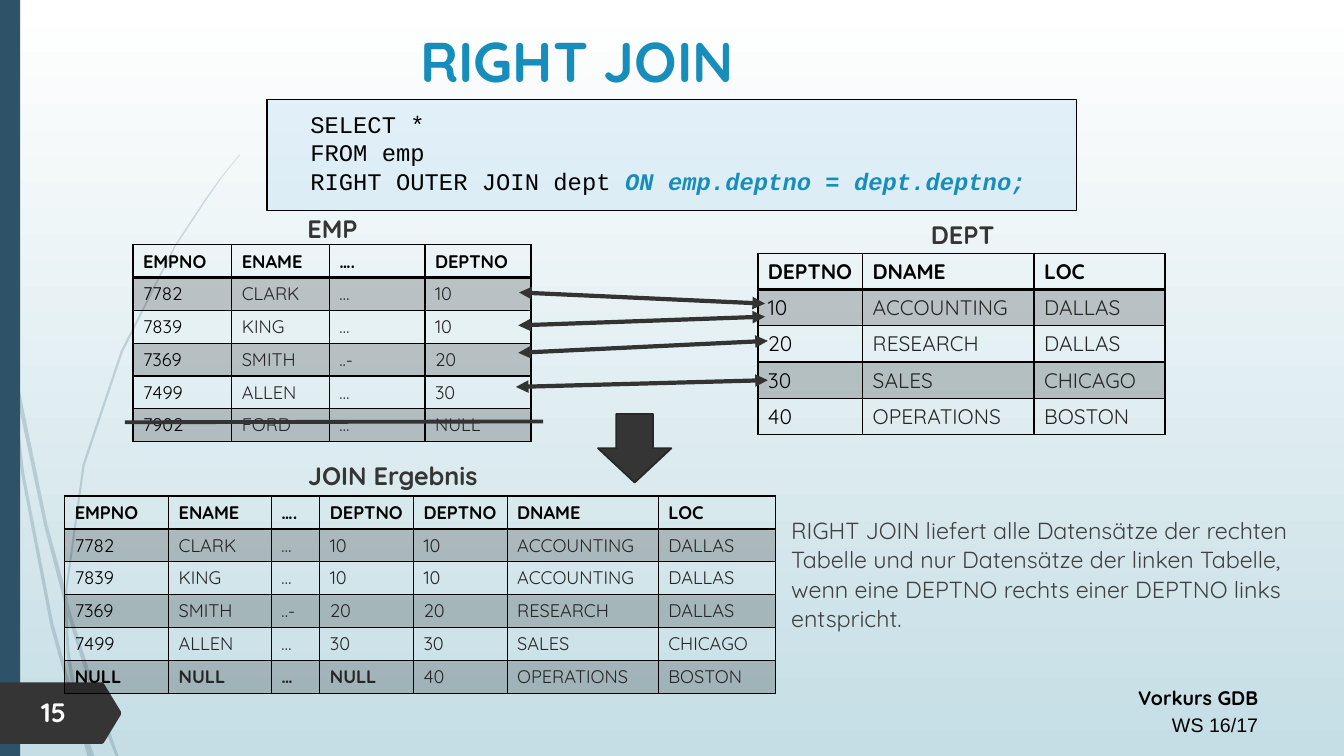
from collections import namedtuple

from lxml.etree import SubElement
from pptx import Presentation
from pptx.dml.color import RGBColor
from pptx.enum.shapes import MSO_CONNECTOR as Connector, MSO_SHAPE as Preset
from pptx.enum.text import MSO_ANCHOR as Anchor, PP_ALIGN as Align
from pptx.oxml.ns import qn
from pptx.util import Cm, Pt

Box = namedtuple("Box", "left top width height")
Span = namedtuple("Span", "text size color bold italic font",
                  defaults=(False, False, "Quicksand"))

BLACK = RGBColor(0x00, 0x00, 0x00)
WHITE = RGBColor(0xFF, 0xFF, 0xFF)
BODY = RGBColor(0x40, 0x40, 0x40)
CELL = RGBColor(0x26, 0x26, 0x26)
DARK = RGBColor(0x35, 0x35, 0x35)
OUTLINE = RGBColor(0x27, 0x27, 0x27)
LINK = RGBColor(0x33, 0x33, 0x33)
ACCENT = RGBColor(0x17, 0x8D, 0xBB)
NAVY = RGBColor(0x2E, 0x53, 0x69)
SKY = RGBColor(0xA8, 0xD5, 0xF0)
MIST = RGBColor(0xC5, 0xDE, 0xE5)

UNIT = Cm(2.54) / 100  # grid of the outlines below
WISPS = [
    [(8, 350), (6, 322), (0, 282), (0, 299), (8, 344)],
    [(44, 522), (64, 599), (65, 586), (47, 520), (11, 345), (13, 376)],
    [(70, 607), (67, 596), (67, 610), (93, 694), (115, 751), (118, 751), (97, 692)],
    [(91, 751), (94, 751), (80, 711)],
    [(71, 683), (53, 619), (24, 469), (13, 376), (8, 350), (21, 470), (50, 621),
     (70, 693), (77, 714), (75, 707)],
    [(64, 599), (66, 646), (71, 683), (73, 692), (80, 711), (79, 706), (69, 646),
     (67, 610), (67, 608)],
    [(67, 584), (84, 462), (122, 349), (174, 245), (205, 198), (221, 175), (238, 154),
     (238, 153), (220, 175), (204, 197), (173, 244), (120, 348), (82, 461), (65, 584),
     (65, 586), (67, 596)],
    [(77, 714), (87, 751), (90, 751)],
    [(67, 608), (67, 610), (67, 596), (65, 586), (64, 599)],
    [(74, 692), (71, 683), (75, 707), (77, 714), (90, 751), (91, 751), (80, 711)],
]
PAGE_TAG = [(0, 677), (101, 677), (103, 678), (120, 706), (120, 709), (103, 737),
            (101, 738), (0, 738)]

EMP = [["EMPNO", "ENAME", "….", "DEPTNO"],
       ["7782", "CLARK", "…", "10"],
       ["7839", "KING", "…", "10"],
       ["7369", "SMITH", "..-", "20"],
       ["7499", "ALLEN", "…", "30"],
       ["7902", "FORD", "…", "NULL"]]
DEPT = [["DEPTNO", "DNAME", "LOC"],
        ["10", "ACCOUNTING", "DALLAS"],
        ["20", "RESEARCH", "DALLAS"],
        ["30", "SALES", "CHICAGO"],
        ["40", "OPERATIONS", "BOSTON"]]
UNMATCHED = ["NULL", "NULL", "…", "NULL"]
# Each department row with the employees that match it
RESULT = [EMP[0] + DEPT[0]] + [
    emp + dept for dept in DEPT[1:]
    for emp in [row for row in EMP[1:] if row[3] == dept[0]] or [UNMATCHED]]


def lengths(box):
    return [Cm(value) for value in box]


def set_alpha(parent, percent):
    color = parent.find(qn("a:solidFill"))[0]
    SubElement(color, qn("a:alpha"), val=str(percent * 1000))


def add_span(para, span):
    run = para.add_run()
    run.text = span.text
    font = run.font
    font.name, font.size = span.font, Pt(span.size)
    font.bold, font.italic = span.bold, span.italic
    font.color.rgb = span.color


def write(frame, lines, align=Align.LEFT, spacing=None):
    frame.word_wrap = True
    for index, spans in enumerate(lines):
        para = frame.add_paragraph() if index else frame.paragraphs[0]
        para.alignment = align
        if spacing:
            para.line_spacing = spacing
        for span in spans:
            add_span(para, span)


def text_block(page, box, lines, align=Align.LEFT, spacing=None, anchor=Anchor.TOP):
    frame = page.shapes.add_textbox(*lengths(box)).text_frame
    frame.vertical_anchor = anchor
    write(frame, lines, align, spacing)


def paint(shape, color, line=None, width=0):
    shape.shadow.inherit = False
    shape.fill.solid()
    shape.fill.fore_color.rgb = color
    if line is None:
        shape.line.fill.background()
    else:
        shape.line.color.rgb = line
        shape.line.width = Pt(width)


def outline(page, points, color):
    builder = page.shapes.build_freeform(*points[0], scale=UNIT)
    builder.add_line_segments(points[1:])
    shape = builder.convert_to_shape()
    paint(shape, color)
    return shape


def backdrop(page, box):
    fill = page.background.fill
    fill.gradient()
    fill.gradient_angle = 270
    for stop, color in zip(fill.gradient_stops, (WHITE, MIST)):
        stop.color.rgb = color
    for points in WISPS:
        set_alpha(outline(page, points, NAVY).element.spPr, 20)
    paint(page.shapes.add_shape(Preset.RECTANGLE, *lengths(box)), NAVY)


def footer(page, box):
    text_block(page, box, [[Span("Vorkurs GDB", 14, BLACK, True)],
                           [Span("WS 16/17", 14, BLACK, font="Arial")]],
               Align.RIGHT, 1.14)
    outline(page, PAGE_TAG, DARK)
    number = Box(0.79, box.top + 0.35, 1.78, 1.07)
    text_block(page, number, [[Span("15", 19, WHITE, True)]])


def query(page, box):
    panel = page.shapes.add_shape(Preset.RECTANGLE, *lengths(box))
    paint(panel, SKY, BLACK, 0.75)
    set_alpha(panel.element.spPr, 27)
    frame = panel.text_frame
    frame.margin_left, frame.margin_top = Cm(1.09), 0
    frame.vertical_anchor = Anchor.MIDDLE
    code = Span("", 17, BLACK, font="Courier New")
    write(frame, [
        [code._replace(text="SELECT *")],
        [code._replace(text="FROM emp")],
        [code._replace(text="RIGHT OUTER JOIN dept "),
         code._replace(text="ON emp.deptno = dept.deptno;", color=ACCENT,
                       bold=True, italic=True)]])


def border(cell, row):
    properties = cell._tc.get_or_add_tcPr()
    widths = {"L": 1, "R": 1, "T": 2 if row == 1 else 1, "B": 2 if row == 0 else 1}
    for side, width in widths.items():
        line = SubElement(properties, qn("a:ln" + side), w=str(Pt(width)))
        fill = SubElement(line, qn("a:solidFill"))
        SubElement(fill, qn("a:srgbClr"), val=str(BLACK))


def relation(page, box, rows, columns, size, title, title_box):
    text_block(page, title_box, [[Span(title, 18, DARK, True)]], Align.CENTER)
    grid = page.shapes.add_table(len(rows), len(columns), *lengths(box)).table
    grid.first_row = grid.horz_banding = False
    for column, width in zip(grid.columns, columns):
        column.width = Cm(width)
    for r, values in enumerate(rows):
        grid.rows[r].height = Cm(box.height / len(rows))
        for c, value in enumerate(values):
            cell = grid.cell(r, c)
            border(cell, r)
            if r % 2:
                cell.fill.solid()
                cell.fill.fore_color.rgb = BLACK
                set_alpha(cell._tc.tcPr, 20)
            else:
                cell.fill.background()
            bold = r == 0 or (values[:4] == UNMATCHED and c < 4)
            color = BLACK if r == 0 or c == 0 else CELL
            add_span(cell.text_frame.paragraphs[0], Span(value, size, color, bold))


def stroke(page, box, ends, width, arrows=False):
    x1, y1, x2, y2 = ends
    line = page.shapes.add_connector(
        Connector.STRAIGHT, Cm(box.left + x1), Cm(box.top + y1),
        Cm(box.left + x2), Cm(box.top + y2))
    line.line.color.rgb = LINK
    line.line.width = Pt(width)
    properties = line.element.spPr
    if arrows:
        for end in ("a:headEnd", "a:tailEnd"):
            SubElement(properties.find(qn("a:ln")), qn(end), type="triangle")
    SubElement(properties, qn("a:effectLst"))


def matches(page, box):
    for ends in [(0.08, 0, 6.28, 0.28), (0.06, 0.83, 6.28, 0.61),
                 (0.06, 1.52, 6.35, 1.22), (0, 2.38, 6.35, 2.21)]:
        stroke(page, box, ends, 3, arrows=True)


def main():
    deck = Presentation()
    deck.slide_width, deck.slide_height = Cm(33.87), Cm(19.05)
    page = deck.slides.add_slide(deck.slide_layouts[6])
    backdrop(page, Box(0, 0, 0.51, 19.05))
    footer(page, Box(18.75, 17.07, 13.21, 1.63))
    text_block(page, Box(3.15, 0.48, 22.78, 2.06),
               [[Span("RIGHT JOIN", 40, ACCENT, True)]], Align.CENTER, anchor=Anchor.MIDDLE)

    # Source tables and the query
    emp_box = Box(3.35, 6.17, 10.03, 4.96)
    relation(page, emp_box, EMP, [2.49, 2.46, 2.41, 2.67], 13,
             "EMP", Box(4.8, 5.26, 7.16, 1.02))
    relation(page, Box(19.1, 6.38, 10.26, 4.57), DEPT, [2.64, 4.32, 3.3], 15,
             "DEPT", Box(20.68, 5.41, 7.16, 1.02))
    query(page, Box(6.73, 2.51, 20.4, 2.79))
    matches(page, Box(13, 7.37, 6.35, 2.38))
    stroke(page, emp_box, (-0.2, 4.47, 10.34, 4.45), 2.75)

    # Result and explanation
    relation(page, Box(1.63, 12.5, 17.91, 4.97), RESULT,
             [2.62, 2.59, 1.22, 2.36, 2.36, 3.81, 2.95], 13,
             "JOIN Ergebnis", Box(6.32, 11.48, 7.16, 1.02))
    arrow = page.shapes.add_shape(Preset.DOWN_ARROW, *lengths(Box(15.07, 10.43, 1.85, 1.73)))
    paint(arrow, DARK, OUTLINE, 1.25)
    text_block(page, Box(19.69, 12.85, 13.69, 3.58), [[Span(
        "RIGHT JOIN liefert alle Datensätze der rechten Tabelle und nur Datensätze der "
        "linken Tabelle, wenn eine DEPTNO rechts einer DEPTNO links entspricht.",
        16.6, BODY)]], spacing=1.05)
    deck.save("out.pptx")


if __name__ == "__main__":
    main()
